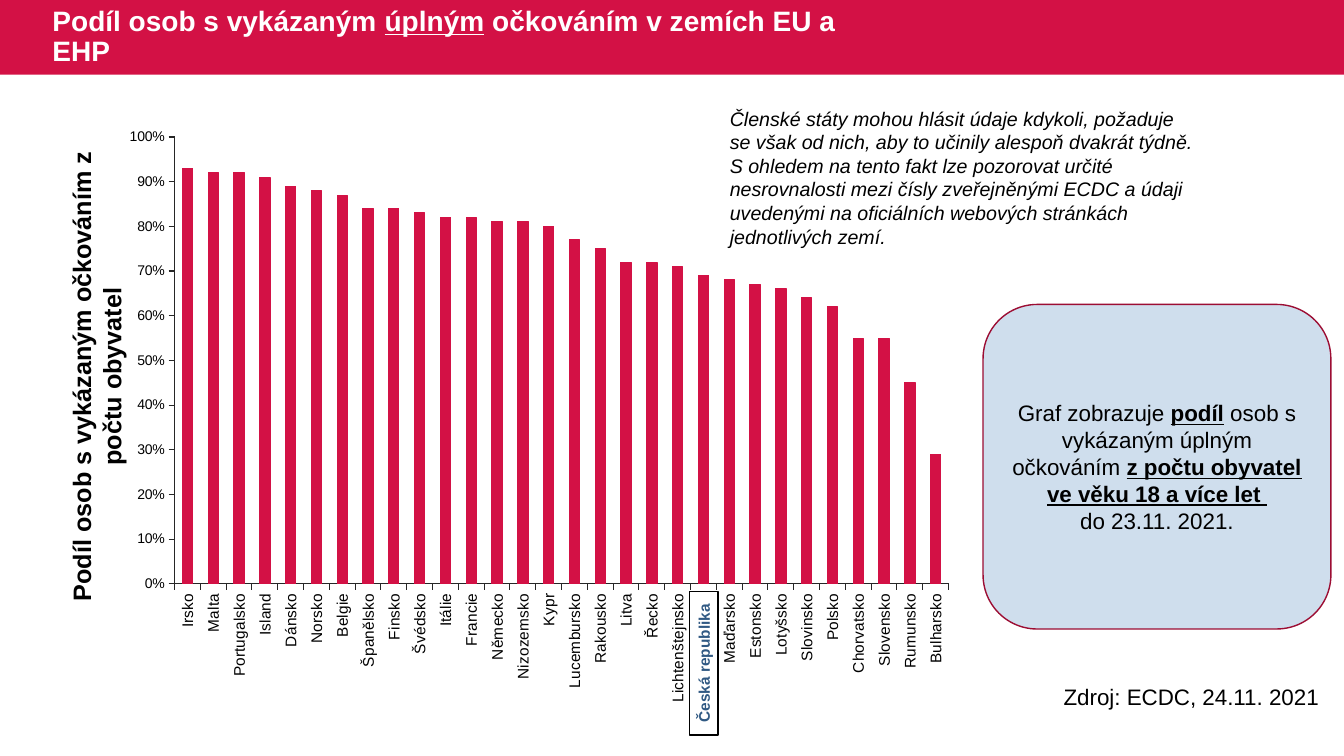
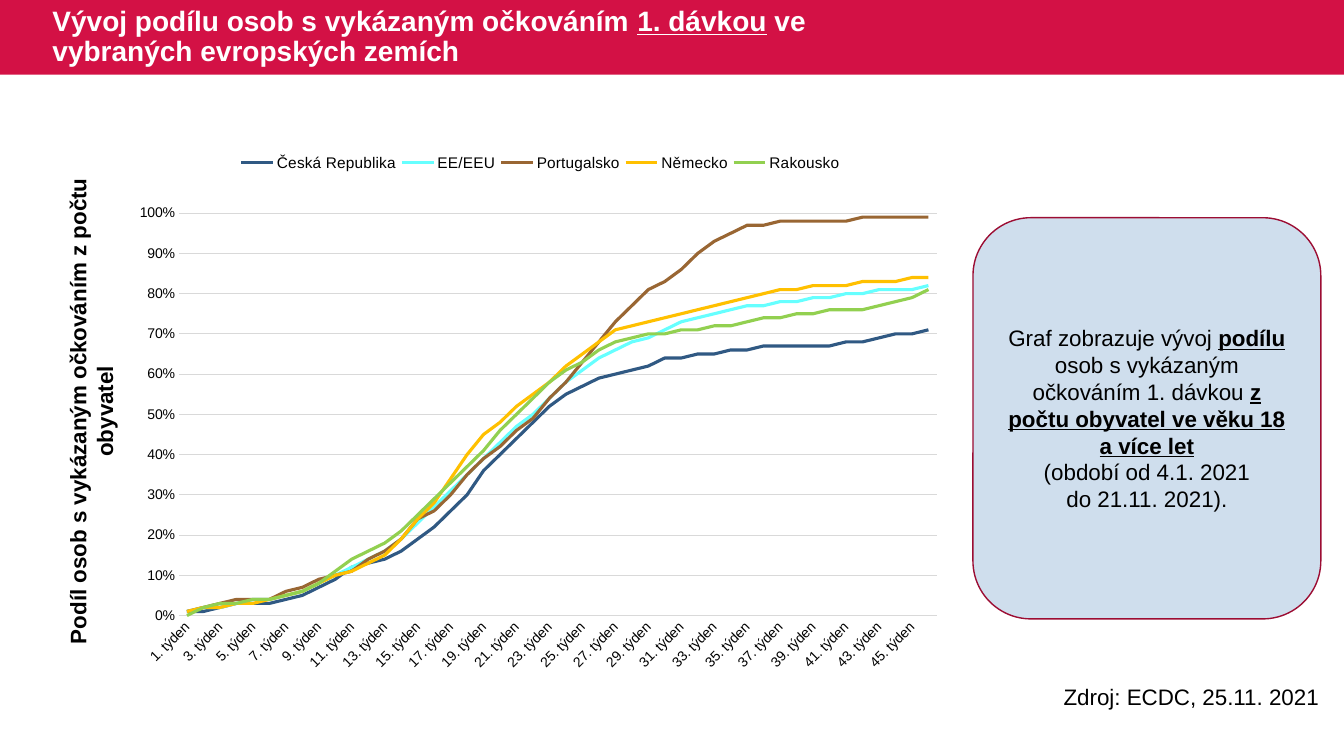
from pptx import Presentation
from pptx import util as u
from pptx.chart.data import CategoryChartData
from pptx.dml.color import RGBColor
from pptx.enum import chart as ch, shapes, text
from pptx.oxml import parse_xml
from pptx.oxml.ns import nsdecls

Inches, Pt = u.Inches, u.Pt
CENTER, LEFT = text.PP_ALIGN.CENTER, text.PP_ALIGN.LEFT


class Theme:
    font = "Arial"
    red, dark_red, card = "D31145", "9C0D33", "CFDEED"
    white, black, navy = "FFFFFF", "000000", "305983"
    axis, grid = "262626", "D9D9D9"
    lines = [navy, "66FFFF", "996633", "FFC000", "92D050"]
    title, axis_title, body, note, label, tick = 20, 18, 16, 14, 11, 10


def write(tf, paras, size, color=Theme.black, align=LEFT, spacing=None):
    """Fill a frame; each paragraph is a list of (text, style letters b, i, u)."""
    tf.word_wrap = True
    for i, runs in enumerate(paras):
        p = tf.paragraphs[0] if i == 0 else tf.add_paragraph()
        p.alignment, p.line_spacing = align, spacing
        for words, style in runs:
            r = p.add_run()
            r.text = words
            f = r.font
            f.name, f.size = Theme.font, Pt(size)
            f.color.rgb = RGBColor.from_string(color)
            f.bold, f.italic, f.underline = (k in style for k in "biu")


def panel(s, preset, at, fill, line=None):
    """Add a filled preset shape without shadow."""
    sp = s.shapes.add_shape(preset, *map(Inches, at))
    sp.shadow.inherit = False
    sp.fill.solid()
    sp.fill.fore_color.rgb = RGBColor.from_string(fill)
    if line:
        sp.line.color.rgb = RGBColor.from_string(line)
        sp.line.width = Pt(1)
    else:
        sp.line.fill.background()
    sp.text_frame.vertical_anchor = text.MSO_ANCHOR.MIDDLE
    return sp


# Data, in percent
countries = (
    "Irsko, Malta, Portugalsko, Island, Dánsko, Norsko, Belgie, Španělsko, Finsko, "
    "Švédsko, Itálie, Francie, Německo, Nizozemsko, Kypr, Lucembursko, Rakousko, "
    "Litva, Řecko, Lichtenštejnsko, Česká republika, Maďarsko, Estonsko, Lotyšsko, "
    "Slovinsko, Polsko, Chorvatsko, Slovensko, Rumunsko, Bulharsko").split(", ")
full_vaccination = {"Series 1": [
    93, 92, 92, 91, 89, 88, 87, 84, 84, 83, 82, 82, 81, 81, 80,
    77, 75, 72, 72, 71, 69, 68, 67, 66, 64, 62, 55, 55, 45, 29]}
weeks = [f"{n}. týden" for n in range(1, 47)]
first_dose = {
    "Česká Republika": [
        1, 1, 2, 3, 3, 3, 4, 5, 7, 9, 12, 13, 14, 16, 19, 22, 26, 30, 36, 40, 44, 48, 52,
        55, 57, 59, 60, 61, 62, 64, 64, 65, 65, 66, 66, 67, 67, 67, 67, 67, 68, 68, 69,
        70, 70, 71],
    "EE/EEU": [
        1, 2, 2, 3, 4, 4, 5, 6, 8, 10, 12, 14, 16, 19, 23, 27, 31, 35, 39, 43, 47, 50, 54,
        58, 61, 64, 66, 68, 69, 71, 73, 74, 75, 76, 77, 77, 78, 78, 79, 79, 80, 80, 81,
        81, 81, 82],
    "Portugalsko": [
        1, 2, 3, 4, 4, 4, 6, 7, 9, 10, 11, 14, 16, 19, 24, 26, 30, 35, 39, 42, 46, 49, 54,
        58, 63, 68, 73, 77, 81, 83, 86, 90, 93, 95, 97, 97, 98, 98, 98, 98, 98, 99, 99,
        99, 99, 99],
    "Německo": [
        1, 2, 2, 3, 3, 4, 5, 6, 8, 10, 11, 13, 15, 19, 24, 28, 34, 40, 45, 48, 52, 55, 58,
        62, 65, 68, 71, 72, 73, 74, 75, 76, 77, 78, 79, 80, 81, 81, 82, 82, 82, 83, 83,
        83, 84, 84],
    "Rakousko": [
        0, 2, 3, 3, 4, 4, 5, 6, 8, 11, 14, 16, 18, 21, 25, 29, 33, 37, 41, 46, 50, 54, 58,
        61, 63, 66, 68, 69, 70, 70, 71, 71, 72, 72, 73, 74, 74, 75, 75, 76, 76, 76, 77,
        78, 79, 81],
}

slides = [
    dict(
        title=[("Podíl osob s vykázaným ", "b"), ("úplným", "bu"),
               (" očkováním v zemích EU a EHP", "b")],
        axis_at=(-1.55, 3.38, 5.02, 0.71), axis_size=Theme.axis_title,
        kind=ch.XL_CHART_TYPE.COLUMN_CLUSTERED, cats=countries, series=full_vaccination,
        colors=[Theme.red], plot=(0.068, 0.047, 0.914, 0.745),
        cat_size=Theme.label, cat_turn=-90, cat_line=Theme.axis,
        tick=ch.XL_TICK_MARK.OUTSIDE,
        card_at=(9.75, 3.02, 3.45, 3.22),
        card=[[("Graf zobrazuje ", ""), ("podíl", "bu"),
               (" osob s vykázaným úplným očkováním ", ""),
               ("z počtu obyvatel ve věku 18 a více let ", "bu")],
              [("do 23.11. 2021.", "")]],
        source="Zdroj: ECDC, 24.11. 2021"),
    dict(
        title=[("Vývoj podílu osob s vykázaným očkováním ", "b"), ("1. dávkou", "bu"),
               (" ve vybraných evropských zemích", "b")],
        axis_at=(-1.54, 3.76, 4.89, 0.64), axis_size=Theme.body,
        kind=ch.XL_CHART_TYPE.LINE, cats=weeks, series=first_dose,
        colors=Theme.lines, plot=(0.073, 0.174, 0.895, 0.671),
        cat_size=Theme.tick, cat_turn=-45, cat_line=Theme.grid,
        tick=ch.XL_TICK_MARK.NONE,
        card_at=(9.65, 2.16, 3.45, 3.98),
        card=[[("Graf zobrazuje vývoj ", ""), ("podílu", "bu"),
               (" osob s vykázaným očkováním 1. dávkou ", ""),
               ("z počtu obyvatel ve věku 18 a více let", "bu")],
              [("(období od 4.1. 2021", "")],
              [("do 21.11. 2021).", "")]],
        source="Zdroj: ECDC, 25.11. 2021"),
]

prs = Presentation()
prs.slide_width, prs.slide_height = Inches(13.33), Inches(7.5)

# Shared layout: title position, then the red band behind it
layout = prs.slide_layouts.get_by_name("Title Only")
title = layout.placeholders[0]
title.left, title.top, title.width, title.height = map(Inches, (0.42, 0, 8.16, 0.74))

for n, d in enumerate(slides):
    s = prs.slides.add_slide(layout)
    if n == 0:
        band = panel(s, shapes.MSO_SHAPE.RECTANGLE, (0, 0, 13.33, 0.74), Theme.red)
        layout.shapes.element.insert(2, band.element)

    # Title
    tf = s.shapes.title.text_frame
    tf.auto_size = text.MSO_AUTO_SIZE.NONE
    tf.vertical_anchor = text.MSO_ANCHOR.MIDDLE
    write(tf, [d["title"]], Theme.title, Theme.white, spacing=0.9)

    # Vertical axis title
    sp = s.shapes.add_textbox(*map(Inches, d["axis_at"]))
    sp.rotation = 270
    write(sp.text_frame, [[("Podíl osob s vykázaným očkováním z počtu obyvatel", "b")]],
          d["axis_size"], align=CENTER)

    # Chart and series
    data = CategoryChartData(number_format="0%")
    data.categories = d["cats"]
    for name, vals in d["series"].items():
        data.add_series(name, [v / 100 for v in vals])
    chart = s.shapes.add_chart(d["kind"], *map(Inches, (1.16, 1.08, 8.4, 5.95)), data).chart
    is_line = d["kind"] == ch.XL_CHART_TYPE.LINE
    chart.has_title = False
    chart.font.name, chart.font.size = Theme.font, Pt(Theme.tick)
    chart.font.color.rgb = RGBColor.from_string(Theme.black)
    plot = chart.plots[0]
    plot.vary_by_categories = False
    for ser, color in zip(plot.series, d["colors"]):
        rgb = RGBColor.from_string(color)
        if is_line:
            ser.smooth = False
            ser.marker.style = ch.XL_MARKER_STYLE.NONE
        else:
            ser.format.fill.solid()
            ser.format.fill.fore_color.rgb = rgb
        ser.format.line.color.rgb = rgb
        ser.format.line.width = Pt(2.25 if is_line else 0.75)

    # Axes
    cat, val = chart.category_axis, chart.value_axis
    val.minimum_scale, val.maximum_scale, val.major_unit = 0, 1, 0.1
    val.has_major_gridlines = is_line
    val.tick_labels.number_format = "0%"
    val.tick_labels.number_format_is_linked = False
    for axis, size in ((cat, d["cat_size"]), (val, Theme.tick)):
        axis.major_tick_mark = d["tick"]
        axis.minor_tick_mark = ch.XL_TICK_MARK.NONE
        f = axis.tick_labels.font
        f.name, f.size = Theme.font, Pt(size)
        f.color.rgb = RGBColor.from_string(Theme.black)
        axis.format.line.color.rgb = RGBColor.from_string(d["cat_line"])
        axis.format.line.width = Pt(0.75)
    for body in chart.element.xpath(".//c:catAx/c:txPr/a:bodyPr"):
        body.set("rot", str(d["cat_turn"] * 60000))
        body.set("vert", "horz")

    # Legend and gridlines of the line chart, gap of the columns
    chart.has_legend = is_line
    areas = [("plotArea", 0, d["plot"], '<c:layoutTarget val="inner"/>')]
    if is_line:
        val.format.line.fill.background()
        val.major_gridlines.format.line.color.rgb = RGBColor.from_string(Theme.grid)
        val.major_gridlines.format.line.width = Pt(0.75)
        chart.legend.position = ch.XL_LEGEND_POSITION.TOP
        chart.legend.include_in_layout = False
        chart.legend.font.name, chart.legend.font.size = Theme.font, Pt(Theme.label)
        areas.append(("legend", 1, (0.14, 0.06, 0.72, 0.06), ""))
    else:
        plot.gap_width = 150

    # Fixed places inside the chart frame
    for tag, index, at, target in areas:
        area = chart.element.xpath(f".//c:{tag}")[0]
        for old in area.xpath("./c:layout"):
            area.remove(old)
        modes = "".join(f'<c:{k}Mode val="edge"/>' for k in "xy")
        sizes = "".join(f'<c:{k} val="{v}"/>' for k, v in zip("xywh", at))
        area.insert(index, parse_xml(
            f'<c:layout {nsdecls("c")}><c:manualLayout>{target}{modes}{sizes}'
            "</c:manualLayout></c:layout>"))

    # Explanation card
    sp = panel(s, shapes.MSO_SHAPE.ROUNDED_RECTANGLE, d["card_at"], Theme.card, Theme.dark_red)
    write(sp.text_frame, d["card"], Theme.body, align=CENTER)

    # Source line
    sp = s.shapes.add_textbox(*map(Inches, (10.45, 6.73, 2.88, 0.37)))
    write(sp.text_frame, [[(d["source"], "")]], Theme.body)

# First slide: highlighted country and reporting note
s = prs.slides[0]
sp = panel(s, shapes.MSO_SHAPE.RECTANGLE, (6.27, 6.44, 1.42, 0.28), Theme.white, Theme.black)
sp.rotation = 270
write(sp.text_frame, [[("Česká republika", "b")]], Theme.label, Theme.navy, CENTER)

sp = s.shapes.add_textbox(*map(Inches, (7.14, 1.01, 4.86, 1.51)))
write(sp.text_frame, [[(
    "Členské státy mohou hlásit údaje kdykoli, požaduje se však od nich, aby to učinily "
    "alespoň dvakrát týdně. S ohledem na tento fakt lze pozorovat určité nesrovnalosti "
    "mezi čísly zveřejněnými ECDC a údaji uvedenými na oficiálních webových stránkách "
    "jednotlivých zemí.", "i")]], Theme.note)

prs.save("out.pptx")
